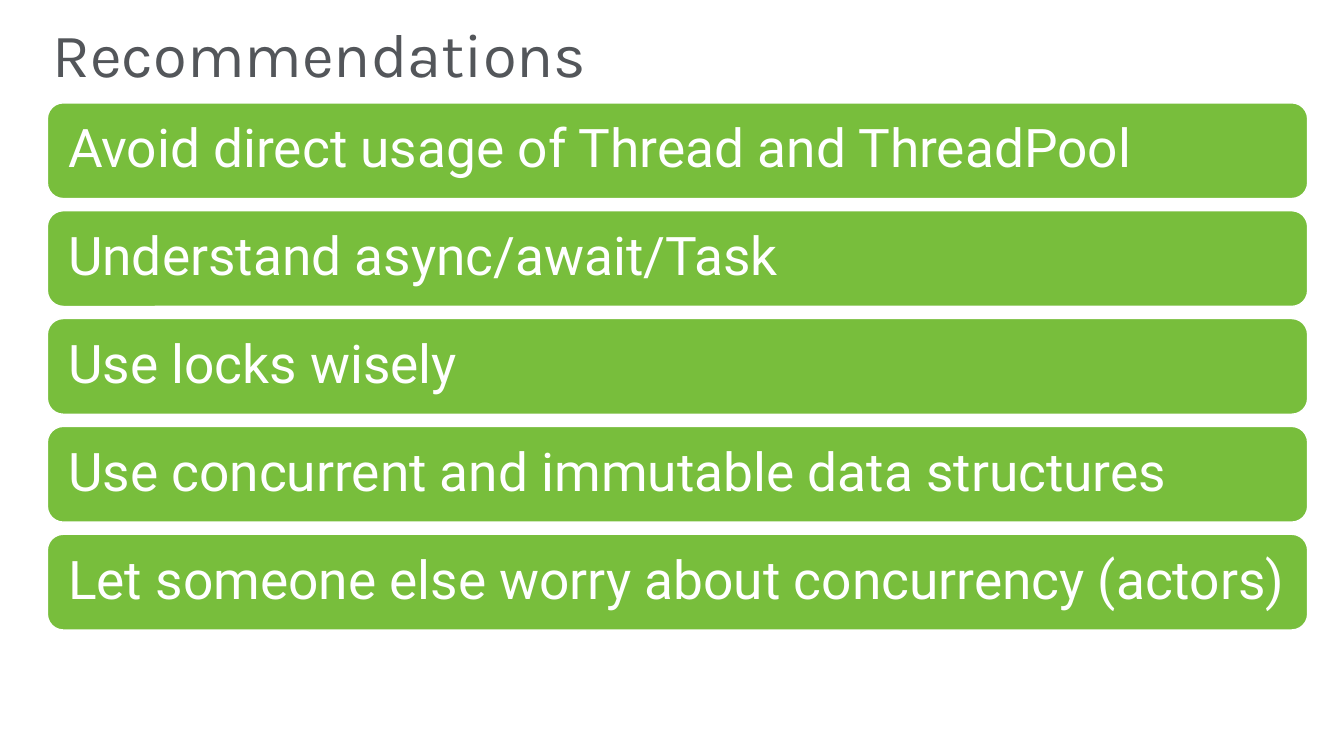
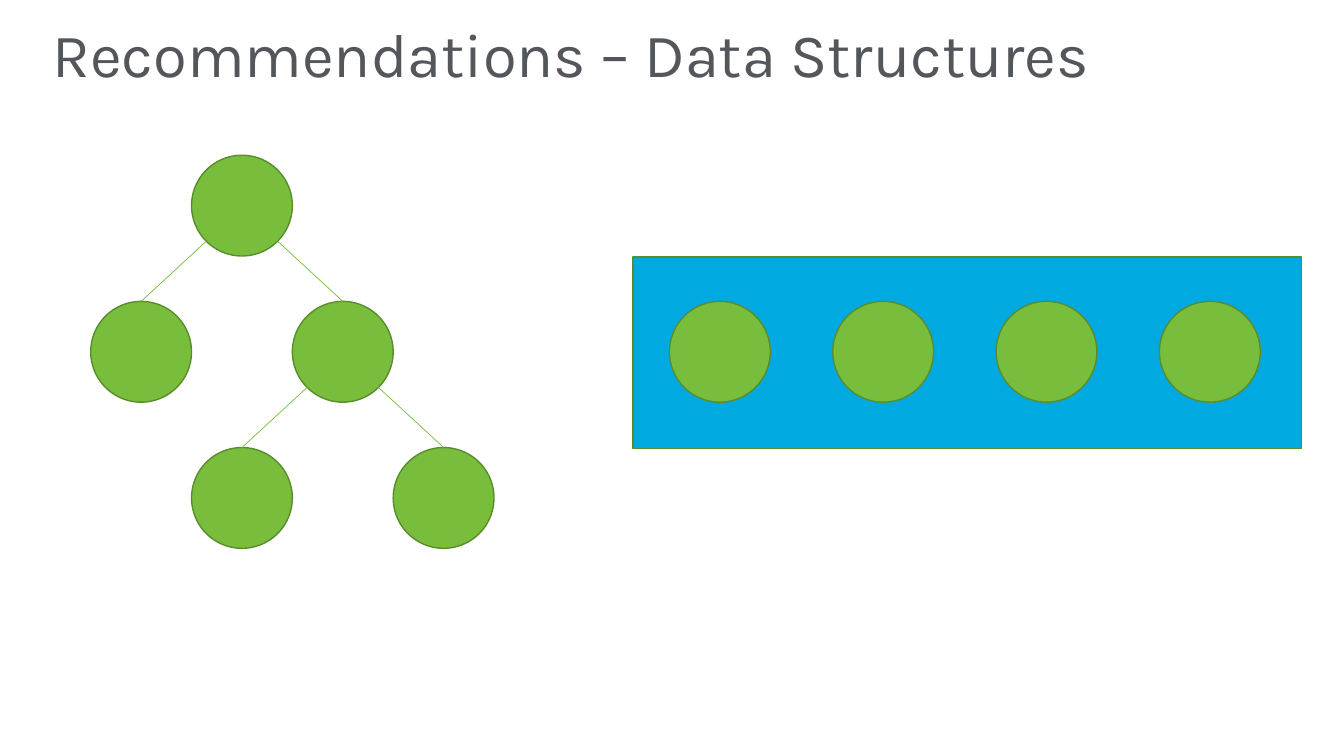
from math import sqrt

from lxml.etree import SubElement
from pptx import Presentation
from pptx.dml.color import RGBColor
from pptx.enum.shapes import MSO_CONNECTOR as Connector, MSO_SHAPE as Shape
from pptx.enum.text import MSO_ANCHOR as Anchor, MSO_AUTO_SIZE as AutoSize, PP_ALIGN as Align
from pptx.oxml.ns import qn
from pptx.util import Pt

PX = 9144  # 100 px to the inch
GREEN = RGBColor(0x78, 0xBE, 0x3C)
DARK_GREEN = RGBColor(0x59, 0x8D, 0x2C)
BLUE = RGBColor(0x00, 0xA9, 0xE0)
GREY = RGBColor(0x53, 0x56, 0x5A)
WHITE = RGBColor(0xFF, 0xFF, 0xFF)
TITLE_FONT, BODY_FONT = "Karla", "Roboto"
TITLE_ONLY = 5
NODE = 100


class Deck:
    """Holds the shared style and the slide being drawn."""

    def __init__(self):
        self.prs = Presentation()
        self.prs.slide_width, self.prs.slide_height = 1333 * PX, 750 * PX
        self.slide = None

    def new_slide(self, heading):
        self.slide = self.prs.slides.add_slide(self.prs.slide_layouts[TITLE_ONLY])
        title = self.slide.shapes.title
        title.left, title.top, title.width, title.height = (
            v * PX for v in (42, 28, 1249, 59))
        self.set_line(title.text_frame, heading, TITLE_FONT, 44, GREY)

    def set_line(self, frame, text, font, size, color):
        """Fill a frame with one left-aligned, vertically centred line."""
        frame.text = text
        frame.word_wrap = True
        frame.auto_size = AutoSize.NONE
        frame.vertical_anchor = Anchor.MIDDLE
        line = frame.paragraphs[0]
        line.alignment = Align.LEFT
        line.line_spacing = 0.9
        run_font = line.runs[0].font
        run_font.name, run_font.size = font, Pt(size)
        run_font.color.rgb = color

    def shape(self, preset, left, top, width, height, fill=GREEN, outline=DARK_GREEN):
        shape = self.slide.shapes.add_shape(
            preset, left * PX, top * PX, width * PX, height * PX)
        shape.shadow.inherit = False
        shape.fill.solid()
        shape.fill.fore_color.rgb = fill
        shape.line.color.rgb = outline
        shape.line.width = Pt(1)
        return shape

    def bar(self, text, top):
        bar = self.shape(Shape.ROUNDED_RECTANGLE, 47, top, 1250, 95, outline=WHITE)
        frame = bar.text_frame
        frame.margin_left = frame.margin_right = 16 * PX
        frame.margin_top = frame.margin_bottom = 16 * PX
        self.set_line(frame, text, BODY_FONT, 38, WHITE)

    def node(self, left, top):
        return self.shape(Shape.OVAL, left, top, NODE, NODE)

    def branch(self, parent, child):
        """Join the parent's lower diagonal to the top of the child."""
        radius = parent.width // 2
        reach = round(radius / sqrt(2))
        side = 1 if child.left > parent.left else -1
        line = self.slide.shapes.add_connector(
            Connector.STRAIGHT,
            parent.left + radius + side * reach, parent.top + radius + reach,
            child.left + radius, child.top)
        line.end_connect(child, 0)
        line.line.color.rgb = GREEN
        line.line.width = Pt(0.5)
        SubElement(line._element.spPr, qn("a:effectLst"))


def recommendations(deck):
    deck.new_slide("Recommendations")
    advice = (
        "Avoid direct usage of Thread and ThreadPool",
        "Understand async/await/Task",
        "Use locks wisely",
        "Use concurrent and immutable data structures",
        "Let someone else worry about concurrency (actors)",
    )
    for i, text in enumerate(advice):
        deck.bar(text, 102 + i * 107)


def data_structures(deck):
    deck.new_slide("Recommendations – Data Structures")

    # Tree: (column, level) of each node, then parent and child indexes
    places = ((1, 0), (0, 1), (2, 1), (1, 2), (3, 2))
    tree = [deck.node(90 + column * NODE, 154 + level * 145)
            for column, level in places]
    for parent, child in ((0, 1), (0, 2), (2, 3), (2, 4)):
        deck.branch(tree[parent], tree[child])

    # Array: one block holding four cells
    deck.shape(Shape.RECTANGLE, 628, 255, 663, 190, fill=BLUE)
    for i in range(4):
        deck.node(664 + i * 162, 299)


def main():
    deck = Deck()
    recommendations(deck)
    data_structures(deck)
    deck.prs.save("out.pptx")


if __name__ == "__main__":
    main()
